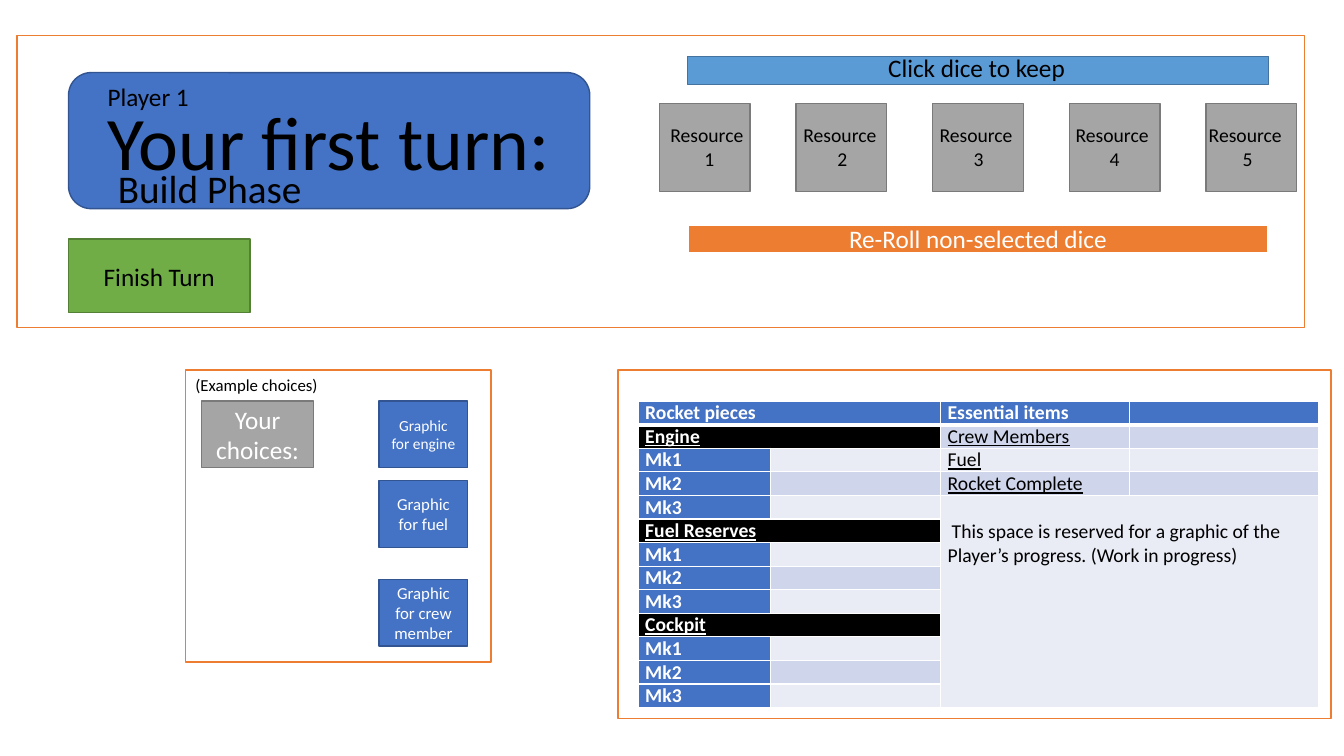
"""Build the first-turn game screen slide."""
from lxml import etree
from pptx import Presentation
from pptx import util as u
from pptx.dml.color import RGBColor
from pptx.enum import shapes, text
from pptx.oxml.ns import qn

BLACK = RGBColor(0x00, 0x00, 0x00)
WHITE = RGBColor(0xFF, 0xFF, 0xFF)
BLUE = RGBColor(0x44, 0x72, 0xC4)
BLUE_EDGE = RGBColor(0x32, 0x54, 0x91)
SKY = RGBColor(0x5B, 0x9B, 0xD5)
SKY_EDGE = RGBColor(0x43, 0x73, 0x9E)
GRAY = RGBColor(0xA5, 0xA5, 0xA5)
GRAY_EDGE = RGBColor(0x7A, 0x7A, 0x7A)
GREEN = RGBColor(0x70, 0xAD, 0x47)
GREEN_EDGE = RGBColor(0x53, 0x80, 0x35)
ORANGE = RGBColor(0xED, 0x7D, 0x31)
BAND_DARK = RGBColor(0xCF, 0xD5, 0xEA)
BAND_LIGHT = RGBColor(0xE9, 0xEB, 0xF5)
LEFT, CENTER = text.PP_ALIGN.LEFT, text.PP_ALIGN.CENTER
RECT = shapes.MSO_SHAPE.RECTANGLE


class GameScreen:
    FONT = "Calibri"

    def __init__(self, prs):
        self.slide = prs.slides.add_slide(prs.slide_layouts[5])
        self.shapes = self.slide.shapes

    def set_words(self, frame, words, size, color, align=LEFT, bold=False, underline=False):
        frame.text = words
        for line in frame.paragraphs:
            line.alignment = align
            for run in line.runs:
                run.font.name, run.font.size = self.FONT, u.Pt(size)
                run.font.bold, run.font.underline = bold, underline
                run.font.color.rgb = color

    def title(self, box, words, size):
        heading = self.shapes.title
        heading.left, heading.top, heading.width, heading.height = map(u.Inches, box)
        frame = heading.text_frame
        self.set_words(frame, words, size, BLACK, CENTER)
        frame.paragraphs[0].line_spacing = 1.0
        frame.word_wrap = False
        frame.auto_size = text.MSO_AUTO_SIZE.NONE
        frame.vertical_anchor = text.MSO_ANCHOR.TOP
        self.shapes._spTree.append(heading._element)

    def panel(self, box, fill, edge, words="", size=18, kind=RECT, weight=1):
        panel = self.shapes.add_shape(kind, *map(u.Inches, box))
        panel.shadow.inherit = False
        if fill is None:
            panel.fill.background()
        else:
            panel.fill.solid()
            panel.fill.fore_color.rgb = fill
        panel.line.color.rgb = edge
        panel.line.width = u.Pt(weight)
        if words:
            self.set_words(panel.text_frame, words, size, WHITE, CENTER)
            panel.text_frame.vertical_anchor = text.MSO_ANCHOR.MIDDLE

    def label(self, box, words, size, align=LEFT, wrap=False):
        label = self.shapes.add_textbox(*map(u.Inches, box))
        frame = label.text_frame
        self.set_words(frame, words, size, BLACK, align)
        frame.word_wrap = wrap
        frame.auto_size = text.MSO_AUTO_SIZE.SHAPE_TO_FIT_TEXT
        return label

    def cell(self, cell, words, fill, color=BLACK, bold=False, underline=False, bottom=1):
        cell.margin_left = cell.margin_right = u.Inches(0.07)
        cell.margin_top = cell.margin_bottom = 0
        cell.fill.solid()
        cell.fill.fore_color.rgb = fill
        if words:
            self.set_words(cell.text_frame, words, 14, color, LEFT, bold, underline)
        else:
            blank = cell.text_frame.paragraphs[0]._p
            etree.SubElement(blank, qn("a:endParaRPr"), sz="1400")
        for place, side in enumerate("LRTB"):
            width = u.Pt(bottom if side == "B" else 1)
            border = etree.Element(qn(f"a:ln{side}"), w=str(int(width)))
            paint = etree.SubElement(border, qn("a:solidFill"))
            etree.SubElement(paint, qn("a:srgbClr"), val=str(WHITE))
            cell._tc.tcPr.insert(place, border)

    def rocket_table(self, box, widths, pieces, items, progress):
        count = len(pieces)
        table = self.shapes.add_table(count, len(widths), *map(u.Inches, box)).table
        for column, width in zip(table.columns, widths):
            column.width = u.Inches(width)
        for row in table.rows:
            row.height = u.Inches(0.23)
        for r, piece in enumerate(pieces):
            head = r == 0
            part = piece.startswith("Mk")
            band = BLUE if head else BAND_DARK if r % 2 else BAND_LIGHT
            bottom = 3 if head else 1
            self.cell(table.cell(r, 0), piece, BLUE if head or part else BLACK,
                      WHITE, True, not (head or part), bottom)
            self.cell(table.cell(r, 1), "", band, bottom=bottom)
            if not part:
                table.cell(r, 0).merge(table.cell(r, 1))
            if r < len(items):
                self.cell(table.cell(r, 2), items[r], band,
                          WHITE if head else BLACK, head, not head, bottom)
            else:
                self.cell(table.cell(r, 2), progress if r == len(items) else "", BAND_LIGHT)
            self.cell(table.cell(r, 3), "", band if r < len(items) else BAND_LIGHT, bottom=bottom)
        graphic = table.cell(len(items), 2)
        graphic.merge(table.cell(count - 1, 3))
        graphic.margin_top = u.Inches(0.24)
        first = graphic.text_frame.paragraphs[0]._p.get_or_add_pPr()
        first.set("indent", str(int(u.Inches(0.04))))


def main():
    prs = Presentation()
    prs.slide_width, prs.slide_height = u.Inches(13.33), u.Inches(7.5)
    screen = GameScreen(prs)

    screen.panel((0.68, 0.72, 5.17, 1.35), BLUE, BLUE_EDGE,
                 kind=shapes.MSO_SHAPE.ROUNDED_RECTANGLE)
    screen.title((0.94, 0.89, 4.64, 1.01), "Your first turn:", 54)
    screen.label((0.07, 0.76, 2.8, 0.4), "Player 1", 18, CENTER, wrap=True)
    screen.label((1.06, 1.58, 2.04, 0.57), "Build Phase", 28, CENTER)
    screen.panel((0.68, 2.37, 1.8, 0.73), GREEN, GREEN_EDGE)
    screen.label((0.93, 2.54, 1.32, 0.4), "Finish Turn", 18)

    for i, label_left in enumerate((6.55, 7.87, 9.22, 10.57, 11.89)):
        screen.panel((6.54 + i * 5.42 / 4, 1.03, 0.9, 0.87), GRAY, GRAY_EDGE)
        resource = screen.label((label_left, 1.17, 0.97, 0.57), f"Resource\n{i + 1}", 14, wrap=True)
        resource.text_frame.paragraphs[1].alignment = CENTER

    screen.panel((6.82, 0.56, 5.76, 0.28), SKY, SKY_EDGE)
    screen.label((8.71, 0.47, 1.98, 0.4), "Click dice to keep", 18)
    screen.panel((6.82, 2.23, 5.76, 0.28), ORANGE, WHITE, "Re-Roll non-selected dice", weight=1.5)

    marks = ["Mk1", "Mk2", "Mk3"]
    screen.rocket_table(
        (6.33, 3.98, 6.75, 3.03), (1.31, 1.69, 1.87, 1.88),
        ["Rocket pieces", "Engine", *marks, "Fuel Reserves", *marks, "Cockpit", *marks],
        ["Essential items", "Crew Members", "Fuel", "Rocket Complete"],
        "This space is reserved for a graphic of the\nPlayer’s progress. (Work in progress)")

    screen.panel((2, 3.98, 1.11, 0.66), GRAY, GRAY_EDGE, "Your choices:")
    screen.label((1.84, 3.67, 1.43, 0.3), "(Example choices)", 12)
    for top, choice, size in ((3.98, "engine", 11), (4.77, "fuel", 12), (5.75, "crew member", 12)):
        screen.panel((3.76, top, 0.88, 0.66), BLUE, BLUE_EDGE, f"Graphic for {choice}", size)

    for frame in ((1.84, 3.67, 3.03, 2.9), (0.17, 0.35, 12.77, 2.9), (6.13, 3.67, 7.07, 3.46)):
        screen.panel(frame, None, ORANGE)
    prs.save("out.pptx")


if __name__ == "__main__":
    main()
